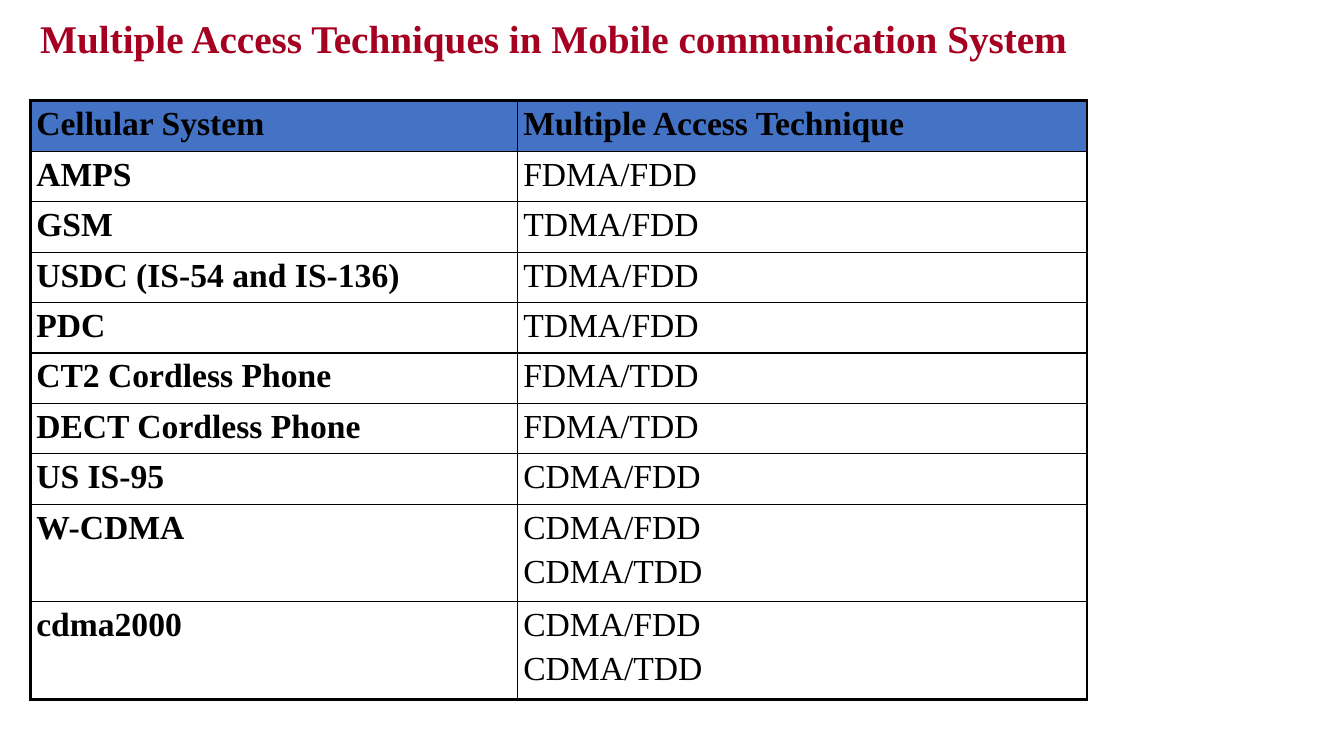
"""Builds a slide that tabulates the multiple access techniques of cellular systems."""
from lxml.etree import SubElement
from pptx import Presentation
from pptx.dml.color import RGBColor
from pptx.oxml.ns import qn
from pptx.util import Inches, Pt

TITLE = "Multiple Access Techniques in Mobile communication System"
HEADER = ("Cellular System", ["Multiple Access Technique"])
SYSTEMS = [
    ("AMPS", ["FDMA/FDD"]),
    ("GSM", ["TDMA/FDD"]),
    ("USDC (IS-54 and IS-136)", ["TDMA/FDD"]),
    ("PDC", ["TDMA/FDD"]),
    ("CT2 Cordless Phone", ["FDMA/TDD"]),
    ("DECT Cordless Phone", ["FDMA/TDD"]),
    ("US IS-95", ["CDMA/FDD"]),
    ("W-CDMA", ["CDMA/FDD", "CDMA/TDD"]),
    ("cdma2000", ["CDMA/FDD", "CDMA/TDD"]),
]
THEME = {
    "font": "Times New Roman",
    "title": "A50021", "text": "000000", "header": "4472C4", "border": "000000",
    "title_size": 28, "cell_size": 24, "line_gap": 4.8,
    "outer": 2.25, "inner": 1,
}
LEFT, TOP = 0.3, 1
COL_WIDTHS = [4.83, 5.65]
ROW_HEIGHTS = {1: 0.5, 2: 0.96}


def write(tf, lines, size, color, bold=False, gap=0):
    for i, line in enumerate(lines):
        p = tf.add_paragraph() if i else tf.paragraphs[0]
        if i:
            p.space_before = Pt(gap)
        r = p.add_run()
        r.text = line
        r.font.name = THEME["font"]
        r.font.size = Pt(size)
        r.font.bold = bold
        r.font.color.rgb = RGBColor.from_string(color)


def set_borders(cell, **widths):
    tc_pr = cell._tc.get_or_add_tcPr()
    for side in "LRTB":
        ln = SubElement(tc_pr, qn(f"a:ln{side}"), w=str(Pt(widths[side])))
        fill = SubElement(ln, qn("a:solidFill"))
        SubElement(fill, qn("a:srgbClr"), val=THEME["border"])


def add_title(slide):
    s = slide.shapes.add_textbox(Inches(LEFT), Inches(0.09), Inches(11.25), Inches(0.57))
    s.text_frame.word_wrap = True
    write(s.text_frame, [TITLE], THEME["title_size"], THEME["title"], bold=True)


def add_systems_table(slide):
    rows = [HEADER] + SYSTEMS
    heights = [ROW_HEIGHTS[len(techniques)] for _, techniques in rows]
    last_row, last_col = len(rows) - 1, len(COL_WIDTHS) - 1
    table = slide.shapes.add_table(
        len(rows), len(COL_WIDTHS), Inches(LEFT), Inches(TOP),
        Inches(sum(COL_WIDTHS)), Inches(sum(heights))).table
    table.first_row = table.horz_banding = False
    for col, width in zip(table.columns, COL_WIDTHS):
        col.width = Inches(width)
    outer, inner = THEME["outer"], THEME["inner"]
    for i, (system, techniques) in enumerate(rows):
        table.rows[i].height = Inches(heights[i])
        for j, lines in enumerate(([system], techniques)):
            cell = table.cell(i, j)
            cell.margin_left = cell.margin_right = Inches(0.06)
            cell.margin_top = cell.margin_bottom = Inches(0.05)
            set_borders(cell,
                        L=inner if j else outer, R=outer if j == last_col else inner,
                        T=inner if i else outer, B=outer if i == last_row else inner)
            if i == 0:
                cell.fill.solid()
                cell.fill.fore_color.rgb = RGBColor.from_string(THEME["header"])
            else:
                cell.fill.background()
            write(cell.text_frame, lines, THEME["cell_size"], THEME["text"],
                  bold=i == 0 or j == 0, gap=THEME["line_gap"])


def main():
    prs = Presentation()
    prs.slide_width, prs.slide_height = Inches(13.33), Inches(7.5)
    slide = prs.slides.add_slide(prs.slide_layouts[6])
    add_title(slide)
    add_systems_table(slide)
    prs.save("out.pptx")


if __name__ == "__main__":
    main()
